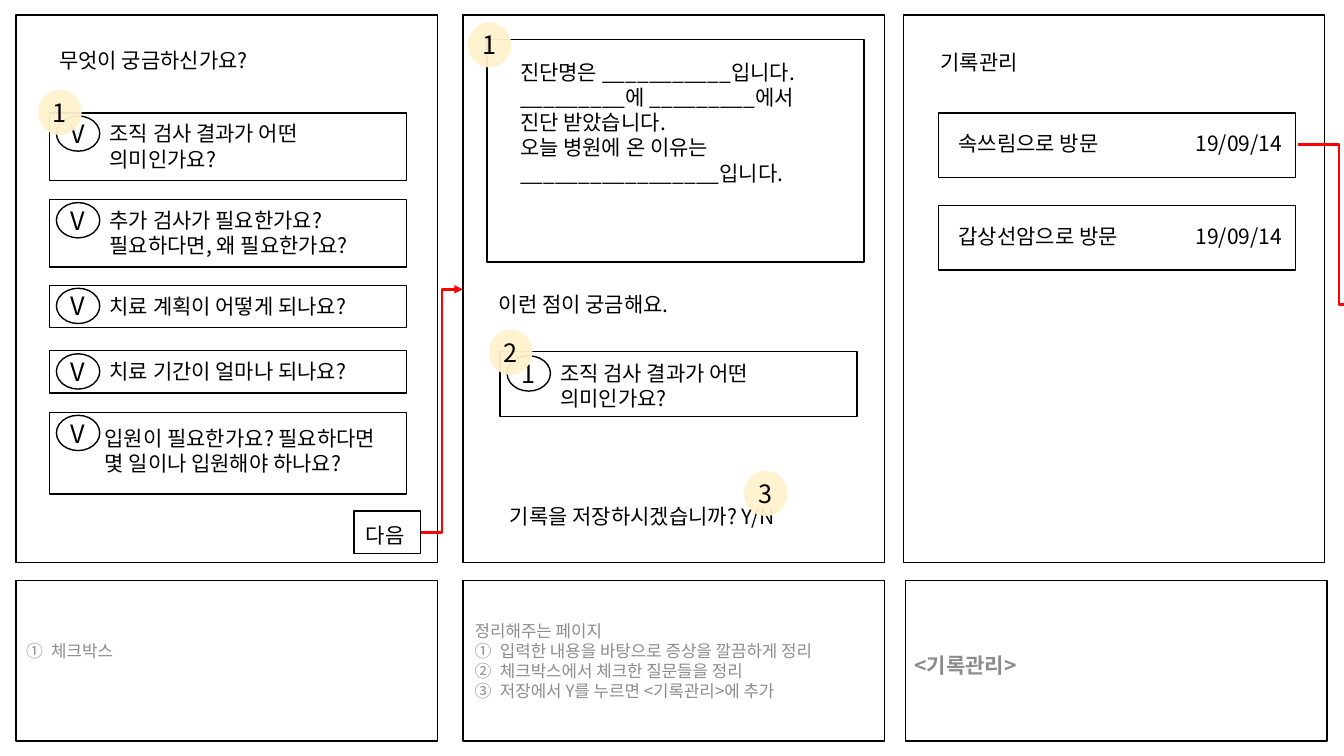
from lxml import etree
from pptx import Presentation
from pptx.dml.color import RGBColor
from pptx.enum.shapes import MSO_CONNECTOR, MSO_SHAPE
from pptx.enum.text import MSO_ANCHOR, MSO_AUTO_SIZE, PP_ALIGN
from pptx.oxml.ns import qn
from pptx.util import Inches, Pt

RECT, OVAL = MSO_SHAPE.RECTANGLE, MSO_SHAPE.OVAL
ELBOW = MSO_CONNECTOR.ELBOW
MIDDLE, GROW = MSO_ANCHOR.MIDDLE, MSO_AUTO_SIZE.SHAPE_TO_FIT_TEXT
CENTER = PP_ALIGN.CENTER
FONT = "Noto Sans CJK KR"
BLACK = RGBColor(0x00, 0x00, 0x00)
GRAY = RGBColor(0x8C, 0x8C, 0x8C)
CREAM = RGBColor(0xFF, 0xF2, 0xCC)
RED = RGBColor(0xFF, 0x00, 0x00)

# Panels: screen left, caption frame left, caption text (left, top)
PANELS = [(0.16, 0.16, (0.16, 5.76)), (4.59, 4.59, (4.61, 5.76)), (8.96, 8.98, (8.97, 5.8))]
PANEL_W, SCREEN_TOP, SCREEN_H, CAPTION_TOP, CAPTION_H = 4.18, 0.15, 5.43, 5.76, 1.59
ITEM_W, LINE_H = 3.54, 0.35

# Captions: (line, numbered)
CAPTIONS = [
    [("체크박스", True)],
    [("정리해주는 페이지", False),
     ("입력한 내용을 바탕으로 증상을 깔끔하게 정리", True),
     ("체크박스에서 체크한 질문들을 정리", True),
     ("저장에서 Y를 누르면 <기록관리>에 추가", True)],
    [("<기록관리>", False)],
]
CAPTION_STYLES = [
    dict(size=12, bottom=0.25),
    dict(size=12),
    dict(size=15, bold=True),
]

# Items: left, top, height, mark, text offset (x, y), text width, lines
RESULT_QUESTION = ["조직 검사 결과가 어떤 의미인가요?"]
ITEMS = [
    (0.49, 1.12, 0.67, "V", (0.5, 0.03), 3.03, RESULT_QUESTION),
    (0.49, 1.98, 0.67, "V", (0.5, 0.03), 3.03,
     ["추가 검사가 필요한가요?", "필요하다면, 왜 필요한가요?"]),
    (0.49, 2.83, 0.42, "V", (0.5, 0.03), 3.03, ["치료 계획이 어떻게 되나요?"]),
    (0.49, 3.48, 0.42, "V", (0.5, 0.03), 3.03, ["치료 기간이 얼마나 되나요?"]),
    (0.49, 4.09, 0.81, "V", (0.45, 0.08), 3.22,
     ["입원이 필요한가요? 필요하다면", "몇 일이나 입원해야 하나요?"]),
    (4.96, 3.49, 0.64, "1", (0.5, 0.04), 3.03, RESULT_QUESTION),
]
VISITS = [("속쓰림으로 방문", "19/09/14"), ("갑상선암으로 방문", "19/09/14")]
VISIT_LEFT, VISIT_TOP, VISIT_STEP, VISIT_H = 9.31, 1.12, 0.92, 0.64

DIAGNOSIS = [
    "진단명은 ___________입니다.",
    "_________에 _________에서 진단 받았습니다.",
    "오늘 병원에 온 이유는",
    "_________________입니다.",
]
# Free-standing text: left, top, width, height, lines
LABELS = [
    (0.49, 0.42, 3.64, LINE_H, ["무엇이 궁금하신가요?"]),
    (3.53, 5.13, 0.83, LINE_H, ["다음"]),
    (5.06, 0.54, 3.21, 1.36, DIAGNOSIS),
    (4.85, 2.84, 3.64, LINE_H, ["이런 점이 궁금해요."]),
    (4.96, 4.95, 3.53, LINE_H, ["기록을 저장하시겠습니까? Y/N"]),
    (9.23, 0.44, 3.64, LINE_H, ["기록관리"]),
]
NEXT_BUTTON = (3.51, 5.07, 0.66, 0.42)
DIAGNOSIS_FRAME = (4.83, 0.39, 3.74, 2.21)
BADGES = [("1", 0.38, 0.89), ("1", 4.64, 0.22), ("2", 4.85, 3.27), ("3", 7.38, 4.67)]
ARROWS = [((4.18, 5.28), (4.59, 2.87)), ((12.87, 1.43), (13.69, 3.02))]

deck = Presentation()
deck.slide_width, deck.slide_height = Inches(13.33), Inches(7.5)
slide = deck.slides.add_slide(deck.slide_layouts[6])


def add_run(paragraph, words, size, color, bold=False):
    """Add one run with its Latin and East Asian font."""
    run = paragraph.add_run()
    run.text = words
    font = run.font
    font.name, font.size, font.bold = FONT, Pt(size), bold
    font.color.rgb = color
    latin = run._r.rPr.find(qn("a:latin"))
    east_asian = etree.Element(qn("a:ea"), typeface=FONT)
    latin.addnext(east_asian)


def add_outline(kind, left, top, width, height):
    """Add an unfilled shape with a thin black line."""
    shape = slide.shapes.add_shape(kind, *map(Inches, (left, top, width, height)))
    shape.shadow.inherit = False
    shape.fill.background()
    shape.line.color.rgb = BLACK
    shape.line.width = Pt(1)
    return shape


def add_mark(left, top, height, words):
    """Add a circle with one centred character."""
    circle = add_outline(OVAL, left, top, 0.43, height)
    frame = circle.text_frame
    frame.margin_left = frame.margin_right = frame.margin_top = frame.margin_bottom = 0
    frame.vertical_anchor = MIDDLE
    frame.paragraphs[0].alignment = CENTER
    add_run(frame.paragraphs[0], words, 18, BLACK)
    return circle


def add_badge(words, left, top):
    """Add a cream number badge, slightly see-through."""
    badge = add_mark(left, top, 0.45, words)
    badge.line.fill.background()
    badge.fill.solid()
    badge.fill.fore_color.rgb = CREAM
    tint = badge._element.spPr.find(qn("a:solidFill"))[0]
    etree.SubElement(tint, qn("a:alpha"), val="95000")


def add_text(left, top, width, height, lines, size=15, color=BLACK, bold=False):
    """Add a wrapping text box with one paragraph per line."""
    box = slide.shapes.add_textbox(*map(Inches, (left, top, width, height)))
    frame = box.text_frame
    frame.word_wrap = True
    for index, line in enumerate(lines):
        paragraph = frame.add_paragraph() if index else frame.paragraphs[0]
        add_run(paragraph, line, size, color, bold)
    return frame


def add_label(*place_and_lines):
    """Add a text box that grows with its text."""
    add_text(*place_and_lines).auto_size = GROW


def add_caption(left, top, lines, size, bold=False, bottom=0.05):
    """Add a gray caption, numbering the lines that ask for it."""
    frame = add_text(left, top, PANEL_W, CAPTION_H,
                     [line for line, _ in lines], size, GRAY, bold)
    frame.vertical_anchor = MIDDLE
    frame.margin_bottom = Inches(bottom)
    for paragraph, (_, numbered) in zip(frame.paragraphs, lines):
        if numbered:
            props = paragraph._p.get_or_add_pPr()
            props.set("marL", str(Inches(0.25)))
            props.set("indent", str(-Inches(0.25)))
            etree.SubElement(props, qn("a:buFont"), typeface="+mj-ea")
            etree.SubElement(props, qn("a:buAutoNum"), type="circleNumDbPlain")


def add_arrow(start, end):
    """Add a red elbow arrow."""
    arrow = slide.shapes.add_connector(ELBOW, *map(Inches, start + end))
    arrow.line.color.rgb = RED
    arrow.line.width = Pt(2)
    etree.SubElement(arrow.line._get_or_add_ln(), qn("a:tailEnd"), type="triangle")
    etree.SubElement(arrow._element.spPr, qn("a:effectLst"))


for (screen_left, caption_left, caption_at), caption, style in zip(PANELS, CAPTIONS, CAPTION_STYLES):
    add_outline(RECT, screen_left, SCREEN_TOP, PANEL_W, SCREEN_H)
    add_outline(RECT, caption_left, CAPTION_TOP, PANEL_W, CAPTION_H)
    add_caption(*caption_at, caption, **style)

for frame_place in (NEXT_BUTTON, DIAGNOSIS_FRAME):
    add_outline(RECT, *frame_place)
for label in LABELS:
    add_label(*label)

for left, top, height, mark, (dx, dy), text_width, question in ITEMS:
    add_outline(RECT, left, top, ITEM_W, height)
    add_mark(left + 0.07, top + dy if mark == "1" else top + 0.03, LINE_H, mark)
    text_height = LINE_H if height < 0.5 else 0.61
    add_label(left + dx, top + dy, text_width, text_height, question)

for row, (reason, date) in enumerate(VISITS):
    top = VISIT_TOP + row * VISIT_STEP
    add_outline(RECT, VISIT_LEFT, top, ITEM_W, VISIT_H)
    add_label(VISIT_LEFT + 0.1, top + 0.13, 2.05, LINE_H, [reason])
    add_label(VISIT_LEFT + 2.45, top + 0.13, 1.16, LINE_H, [date])

for badge in BADGES:
    add_badge(*badge)
for arrow in ARROWS:
    add_arrow(*arrow)

deck.save("out.pptx")
